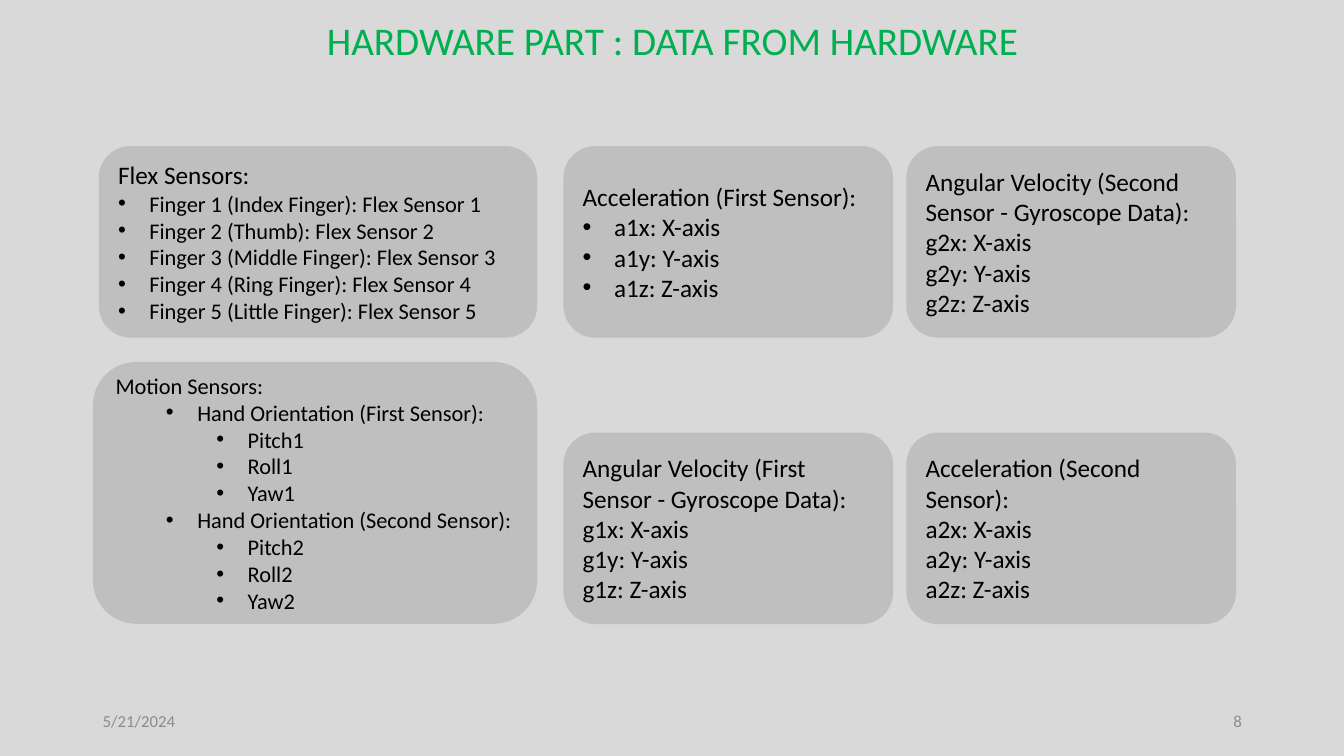
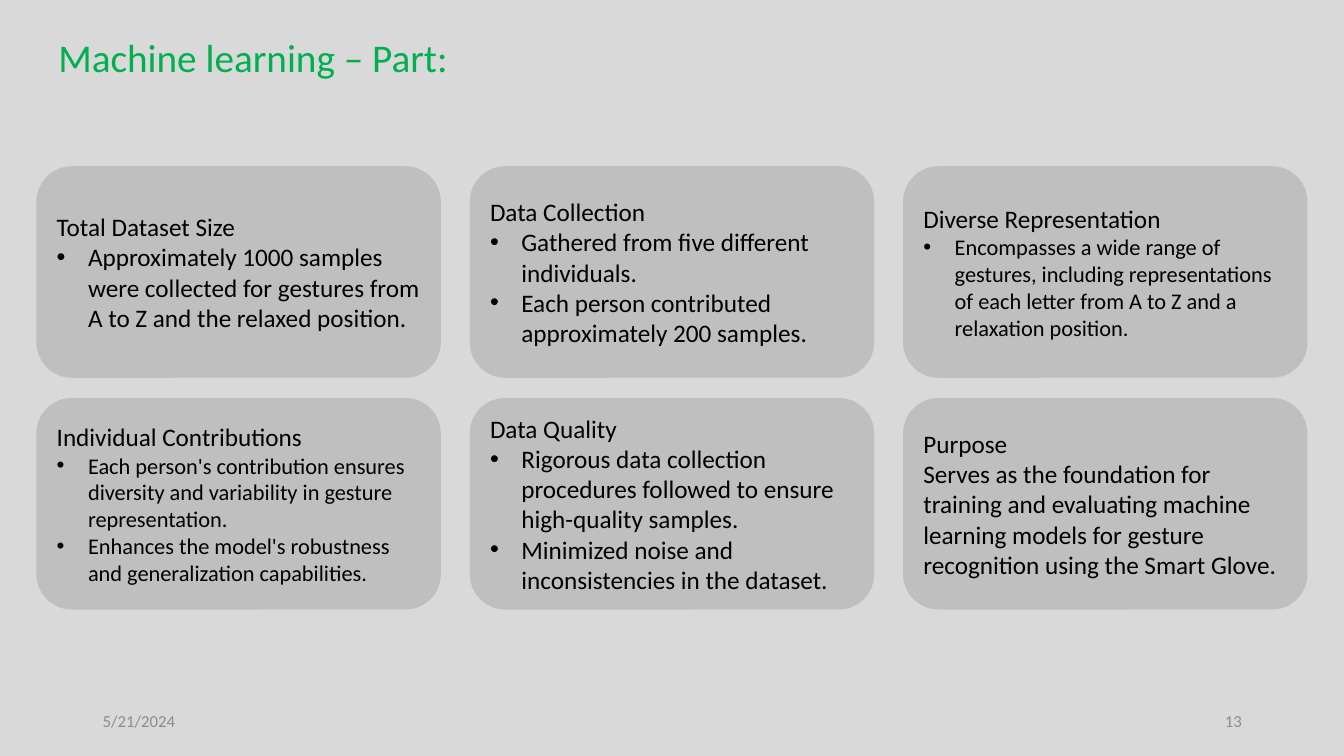
"""Build two slides on the hardware data and the machine learning data set of a smart glove."""
from lxml import etree
from pptx import Presentation
from pptx.dml.color import RGBColor
from pptx.enum import shapes, text as text_enum
from pptx.oxml import ns
from pptx.util import Cm, Pt

BACKGROUND, CARD, GREEN, GREY, BLACK = "D9D9D9", "BFBFBF", "00B050", "8C8C8C", "000000"
LEFT, CENTER, RIGHT = text_enum.PP_ALIGN.LEFT, text_enum.PP_ALIGN.CENTER, text_enum.PP_ALIGN.RIGHT
MIDDLE = text_enum.MSO_ANCHOR.MIDDLE
PLAIN = None


def paint(color_format, value):
    color_format.rgb = RGBColor.from_string(value)


def write(frame, content, size=18, color=BLACK, align=LEFT, bullet=PLAIN):
    para = frame.add_paragraph() if frame.text else frame.paragraphs[0]
    para.alignment = align
    if bullet is not PLAIN:
        para.level = bullet
        properties = para._p.get_or_add_pPr()
        properties.set("marL", str(Cm(0.79 + 1.27 * bullet)))
        properties.set("indent", str(-Cm(0.79)))
        etree.SubElement(properties, ns.qn("a:buFont")).set("typeface", "Arial")
        etree.SubElement(properties, ns.qn("a:buChar")).set("char", "•")
    span = para.add_run()
    span.text = content
    span.font.name = "Calibri"
    span.font.size = Pt(size)
    paint(span.font.color, color)


sensor_left, sensor_width, sensor_height = 14.2, 8.31, 4.83
sensor_step, upper, lower = 8.64, 3.68, 10.9
sensor_cards = [
    ((2.49, upper, 11.05, sensor_height), 18, 16, "Flex Sensors:", [
        (0, "Finger 1 (Index Finger): Flex Sensor 1"),
        (0, "Finger 2 (Thumb): Flex Sensor 2"),
        (0, "Finger 3 (Middle Finger): Flex Sensor 3"),
        (0, "Finger 4 (Ring Finger): Flex Sensor 4"),
        (0, "Finger 5 (Little Finger): Flex Sensor 5")]),
    ((2.34, 9.12, 11.2, 6.6), 16, 16, "Motion Sensors:", [
        (1, "Hand Orientation (First Sensor):"),
        (2, "Pitch1"), (2, "Roll1"), (2, "Yaw1"),
        (1, "Hand Orientation (Second Sensor):"),
        (2, "Pitch2"), (2, "Roll2"), (2, "Yaw2")]),
]
for column, top, heading, prefix, bullet in [
    (0, upper, "Acceleration (First Sensor):", "a1", 0),
    (0, lower, "Angular Velocity (First Sensor - Gyroscope Data):", "g1", PLAIN),
    (1, lower, "Acceleration (Second Sensor):", "a2", PLAIN),
    (1, upper, "Angular Velocity (Second Sensor - Gyroscope Data):", "g2", PLAIN),
]:
    place = (sensor_left + column * sensor_step, top, sensor_width, sensor_height)
    axes = [(bullet, f"{prefix}{axis}: {axis.upper()}-axis") for axis in "xyz"]
    sensor_cards.append((place, 18, 18, heading, axes))

dataset_cards = []
for index, (body_size, heading, lines) in enumerate([
    (18, "Total Dataset Size", [
        (0, "Approximately 1000 samples were collected for gestures from A to Z "
            "and the relaxed position.")]),
    (18, "Data Collection", [
        (0, "Gathered from five different individuals."),
        (0, "Each person contributed approximately 200 samples.")]),
    (16, "Diverse Representation", [
        (0, "Encompasses a wide range of gestures, including representations of each "
            "letter from A to Z and a relaxation position.")]),
    (16, "Individual Contributions", [
        (0, "Each person's contribution ensures diversity and variability in gesture "
            "representation."),
        (0, "Enhances the model's robustness and generalization capabilities.")]),
    (18, "Data Quality", [
        (0, "Rigorous data collection procedures followed to ensure high-quality samples."),
        (0, "Minimized noise and inconsistencies in the dataset.")]),
    (18, "Purpose", [
        (PLAIN, "Serves as the foundation for training and evaluating machine learning "
                "models for gesture recognition using the Smart Glove.")]),
]):
    row, column = divmod(index, 3)
    place = (0.92 + column * 10.92, 4.19 + row * 5.84, 10.19, 5.33)
    dataset_cards.append((place, 18, body_size, heading, lines))

deck = Presentation()
deck.slide_width, deck.slide_height = Cm(33.87), Cm(19.05)
master_fill = deck.slide_master.background.fill
master_fill.solid()
paint(master_fill.fore_color, BACKGROUND)
title_only = deck.slide_layouts[5]

for title, title_place, number, cards in [
    ("HARDWARE PART : DATA FROM HARDWARE", (3.1, 0.28, 27.69, 1.45), "8", sensor_cards),
    ("Machine learning – Part:", (0.61, 0.71, 11.53, 1.45), "13", dataset_cards),
]:
    page = deck.slides.add_slide(title_only)
    heading_box = page.shapes.title
    heading_box.left, heading_box.top, heading_box.width, heading_box.height = map(Cm, title_place)
    heading_box.text_frame.auto_size = text_enum.MSO_AUTO_SIZE.NONE
    write(heading_box.text_frame, title, size=28, color=GREEN, align=CENTER)

    for left, content, align in [(2.34, "5/21/2024", LEFT), (23.93, number, RIGHT)]:
        footer = page.shapes.add_textbox(Cm(left), Cm(17.65), Cm(7.62), Cm(1.02)).text_frame
        footer.word_wrap = True
        footer.vertical_anchor = MIDDLE
        write(footer, content, size=12, color=GREY, align=align)

    for place, heading_size, body_size, heading, lines in cards:
        box = page.shapes.add_shape(shapes.MSO_SHAPE.ROUNDED_RECTANGLE, *map(Cm, place))
        box.shadow.inherit = False
        box.fill.solid()
        paint(box.fill.fore_color, CARD)
        box.line.fill.background()
        box.text_frame.word_wrap = True
        box.text_frame.vertical_anchor = MIDDLE
        write(box.text_frame, heading, size=heading_size)
        for bullet, content in lines:
            write(box.text_frame, content, size=body_size, bullet=bullet)

deck.save("out.pptx")
